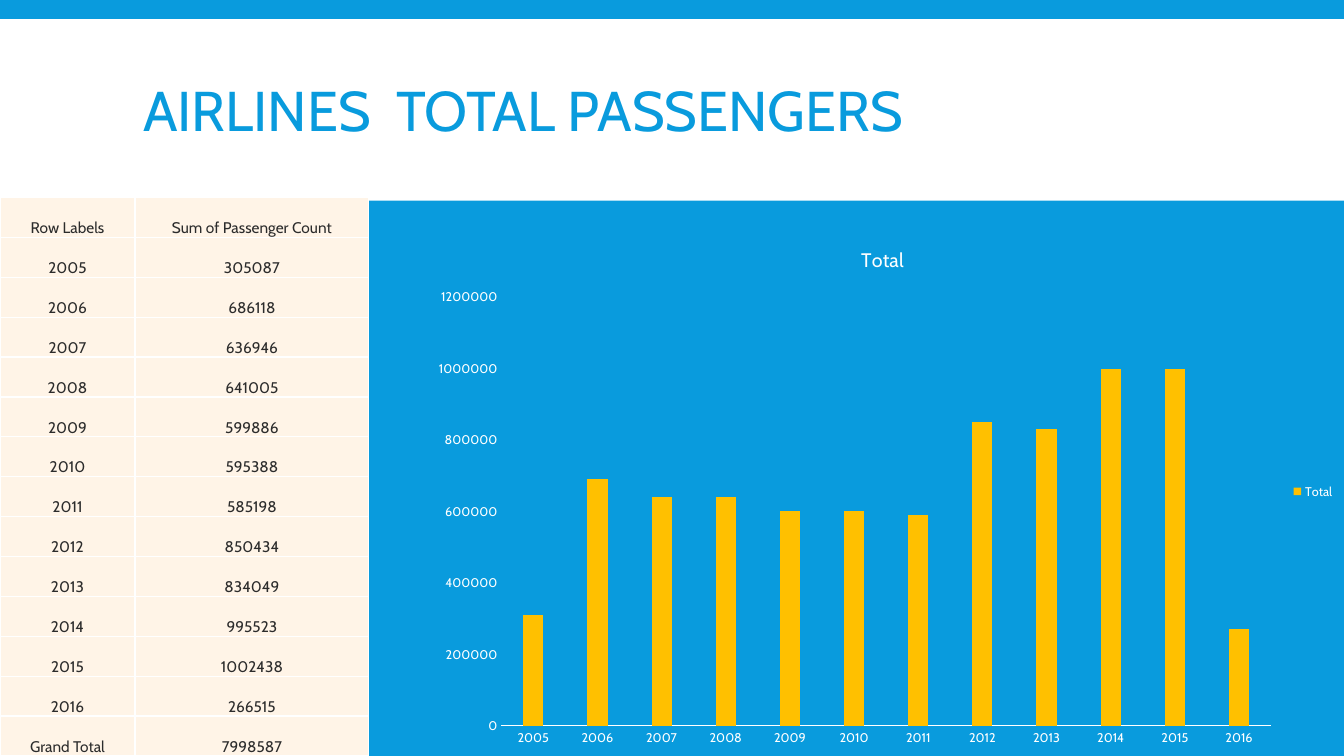
from lxml import etree
from pptx import Presentation
from pptx.chart.data import CategoryChartData
from pptx.dml.color import RGBColor
from pptx.enum.chart import XL_CHART_TYPE as ChartType, XL_LEGEND_POSITION as LegendPosition
from pptx.enum.chart import XL_TICK_MARK as TickMark
from pptx.enum.shapes import MSO_SHAPE as Shape
from pptx.enum.text import MSO_ANCHOR as Anchor, PP_ALIGN as Align
from pptx.oxml.ns import qn
from pptx.util import Inches, Pt

FONT = "Cabin"
PAGE_HEIGHT = Inches(7.5)
PAGE_WIDTH = PAGE_HEIGHT * 16 // 9
COLOURS = {
    "blue": "099BDD",
    "white": "FFFFFF",
    "cream": "FFF4E7",
    "ink": "2C2C2C",
    "gold": "FFC000",
}
PASSENGERS = {
    "2005": 305087,
    "2006": 686118,
    "2007": 636946,
    "2008": 641005,
    "2009": 599886,
    "2010": 595388,
    "2011": 585198,
    "2012": 850434,
    "2013": 834049,
    "2014": 995523,
    "2015": 1002438,
    "2016": 266515,
}


def colour(name):
    return RGBColor.from_string(COLOURS[name])


def paint(fill, name):
    fill.solid()
    fill.fore_color.rgb = colour(name)


def style_font(font, size, name):
    font.name = FONT
    font.size = Pt(size)
    font.bold = False
    font.color.rgb = colour(name)


def place(box, left, top, width, height):
    box.left, box.top = Inches(left), Inches(top)
    box.width, box.height = Inches(width), Inches(height)


def add_title_band(page):
    band = page.shapes.add_shape(
        Shape.RECTANGLE, Inches(0), Inches(0.19), PAGE_WIDTH, Inches(1.8))
    band.shadow.inherit = False
    paint(band.fill, "white")
    band.line.fill.background()
    page.shapes.title._element.addprevious(band._element)


def set_title(page, text):
    title = page.shapes.title
    place(title, 1.32, 0.31, 10.7, 1.65)
    frame = title.text_frame
    frame.text = text
    frame.word_wrap = True
    frame.vertical_anchor = Anchor.MIDDLE
    para = frame.paragraphs[0]
    para.alignment = Align.LEFT
    para.line_spacing = 0.85
    style_font(para.runs[0].font, 40, "blue")


def add_borders(cell):
    properties = cell._tc.get_or_add_tcPr()
    for index, side in enumerate(("a:lnL", "a:lnR", "a:lnT", "a:lnB")):
        line = etree.Element(qn(side), w=str(Pt(1)))
        fill = etree.SubElement(line, qn("a:solidFill"))
        etree.SubElement(fill, qn("a:srgbClr"), val=COLOURS["white"])
        properties.insert(index, line)


def fill_cell(cell, text):
    cell.text = text
    cell.vertical_anchor = Anchor.BOTTOM
    cell.margin_left = cell.margin_right = cell.margin_top = Inches(0.01)
    cell.margin_bottom = Inches(0)
    para = cell.text_frame.paragraphs[0]
    para.alignment = Align.CENTER
    style_font(para.runs[0].font, 11, "ink")
    paint(cell.fill, "cream")
    add_borders(cell)


def add_passenger_table(page):
    rows = [
        ("Row Labels", "Sum of Passenger Count"),
        *PASSENGERS.items(),
        ("Grand Total", sum(PASSENGERS.values())),
    ]
    height = Inches(5.54)
    table = page.shapes.add_table(
        len(rows), 2, Inches(0), Inches(1.96), Inches(3.66), height).table
    for column, width in zip(table.columns, (1.34, 2.32)):
        column.width = Inches(width)
    for row, values in zip(table.rows, rows):
        row.height = height // len(rows)
        for cell, value in zip(row.cells, values):
            fill_cell(cell, str(value))


def style_axis(axis):
    axis.has_major_gridlines = False
    axis.major_tick_mark = TickMark.NONE
    axis.minor_tick_mark = TickMark.NONE
    style_font(axis.tick_labels.font, 9, "white")


def add_passenger_chart(page):
    data = CategoryChartData()
    data.categories = list(PASSENGERS)
    data.add_series("Total", [round(count, -4) for count in PASSENGERS.values()])
    chart = page.shapes.add_chart(
        ChartType.COLUMN_CLUSTERED, Inches(4.17), Inches(2.25),
        Inches(9.17), Inches(5.25), data).chart
    style_font(chart.font, 10, "white")

    chart.has_title = True
    chart.chart_title.text_frame.text = "Total"
    span = chart.chart_title.text_frame.paragraphs[0].runs[0]
    style_font(span.font, 14, "white")

    chart.has_legend = True
    chart.legend.position = LegendPosition.RIGHT
    chart.legend.include_in_layout = False
    style_font(chart.legend.font, 9, "white")

    style_axis(chart.category_axis)
    style_axis(chart.value_axis)
    chart.category_axis.format.line.color.rgb = colour("white")
    chart.category_axis.format.line.width = Pt(0.75)
    chart.value_axis.format.line.fill.background()

    plot = chart.plots[0]
    plot.gap_width = 219
    plot.overlap = -27
    plot.vary_by_categories = False
    paint(plot.series[0].format.fill, "gold")


def main():
    deck = Presentation()
    deck.slide_width, deck.slide_height = PAGE_WIDTH, PAGE_HEIGHT
    page = deck.slides.add_slide(deck.slide_layouts[5])
    paint(page.background.fill, "blue")
    add_title_band(page)
    set_title(page, "AIRLINES  TOTAL PASSENGERS")
    add_passenger_table(page)
    add_passenger_chart(page)
    deck.save("out.pptx")


if __name__ == "__main__":
    main()
